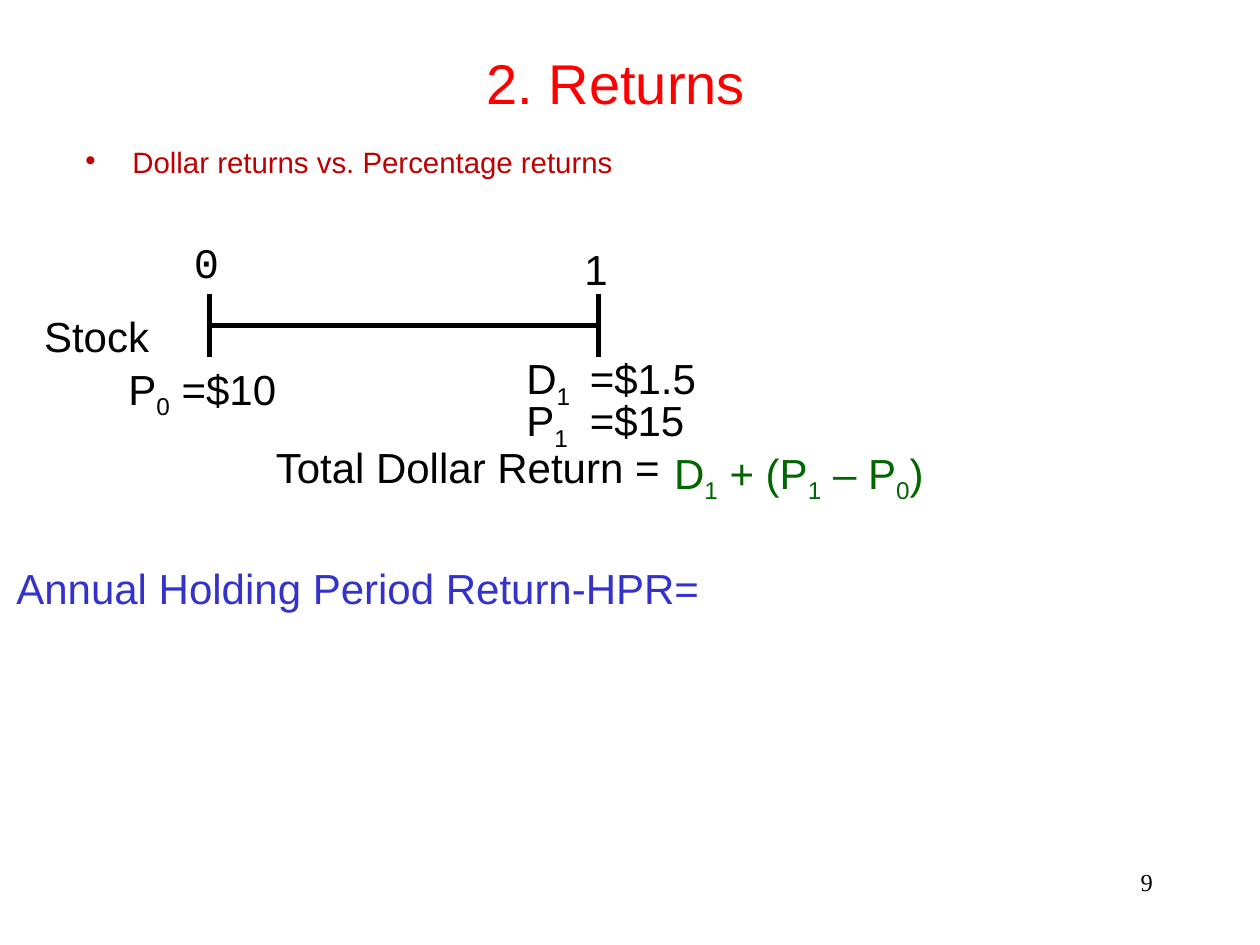
from lxml import etree
from pptx import Presentation
from pptx import util as u
from pptx.dml.color import RGBColor
from pptx.enum import shapes, text
from pptx.oxml.ns import qn

COLORS = {
    "black": "000000",
    "title": "FF0000",
    "bullet": "C00000",
    "formula": "006600",
    "holding": "3333CC",
}


class Deck:
    font = "Arial"
    size = 24

    def __init__(self, width, height):
        self.prs = Presentation()
        self.prs.slide_width = u.Cm(width)
        self.prs.slide_height = u.Cm(height)
        self.s = self.prs.slides.add_slide(self.prs.slide_layouts[6])

    def label(self, box, *runs, color="black", size=None, font=None,
              align=text.PP_ALIGN.LEFT, anchor=text.MSO_ANCHOR.TOP, spacing=1.0):
        sp = self.s.shapes.add_textbox(*(u.Cm(v) for v in box))
        tf = sp.text_frame
        tf.word_wrap = True
        tf.vertical_anchor = anchor
        p = tf.paragraphs[0]
        p.alignment = align
        p.line_spacing = spacing
        for i, content in enumerate(runs):
            r = p.add_run()
            r.text = content
            r.font.name = font or self.font
            r.font.size = u.Pt(size or self.size)
            r.font.color.rgb = RGBColor.from_string(COLORS[color])
            if i % 2:
                r.font._element.set("baseline", "-25000")
        return p

    def bullet(self, box, content, color, size, indent):
        p = self.label(box, content, color=color, size=size, spacing=0.7)
        pPr = p._p.get_or_add_pPr()
        pPr.set("marL", str(u.Cm(indent)))
        pPr.set("indent", str(-u.Cm(indent)))
        clr = etree.SubElement(pPr, qn("a:buClr"))
        etree.SubElement(clr, qn("a:srgbClr")).set("val", COLORS[color])
        etree.SubElement(pPr, qn("a:buFont")).set("typeface", self.font)
        etree.SubElement(pPr, qn("a:buChar")).set("char", "•")

    def line(self, x1, y1, x2, y2):
        c = self.s.shapes.add_connector(
            shapes.MSO_CONNECTOR.STRAIGHT, *(u.Cm(v) for v in (x1, y1, x2, y2)))
        c.line.width = u.Pt(3)
        c.line.color.rgb = RGBColor.from_string(COLORS["black"])
        etree.SubElement(c._element.spPr, qn("a:effectLst"))


def main():
    deck = Deck(25.4, 19.05)
    deck.label((18.21, 17.35, 5.28, 1.27), "9", size=14,
               font="Times New Roman", align=text.PP_ALIGN.RIGHT)
    deck.label((2.16, 0.48, 20.52, 2.34), "2. Returns", color="title", size=32,
               align=text.PP_ALIGN.CENTER, anchor=text.MSO_ANCHOR.MIDDLE)
    deck.bullet((1.47, 2.97, 16.71, 1.47), "Dollar returns vs. Percentage returns",
                "bullet", 16.8, 0.95)

    start, end, axis, tick = 4.23, 12.07, 6.56, 0.64
    deck.line(start, axis, end, axis)
    for x in (start, end):
        deck.line(x, axis - tick, x, axis + tick)
    deck.label((3.66, 4.65, 1.9, 1.27), "0", font="Courier New")
    deck.label((11.53, 4.78, 1.7, 1.27), "1")
    deck.label((0.64, 6.14, 2.96, 1.27), "Stock")
    deck.label((2.34, 7.2, 3.61, 1.42), "P", "0", " =$10")
    for y, symbol, value in ((6.99, "D", "=$1.5"), (7.83, "P", "=$15")):
        deck.label((10.36, y, 4.45, 1.42), symbol, "1")
        deck.label((11.64, y, 4.45, 1.27), value)

    deck.label((5.31, 8.89, 8.6, 1.17), "Total Dollar Return =", spacing=0.9)
    deck.label((13.34, 8.89, 6.35, 1.42), "D", "1", " + (P", "1", " – P", "0", ")",
               color="formula")
    deck.label((0.08, 11.22, 14.76, 1.27), "Annual Holding Period Return-HPR=",
               color="holding")
    deck.prs.save("out.pptx")


if __name__ == "__main__":
    main()
